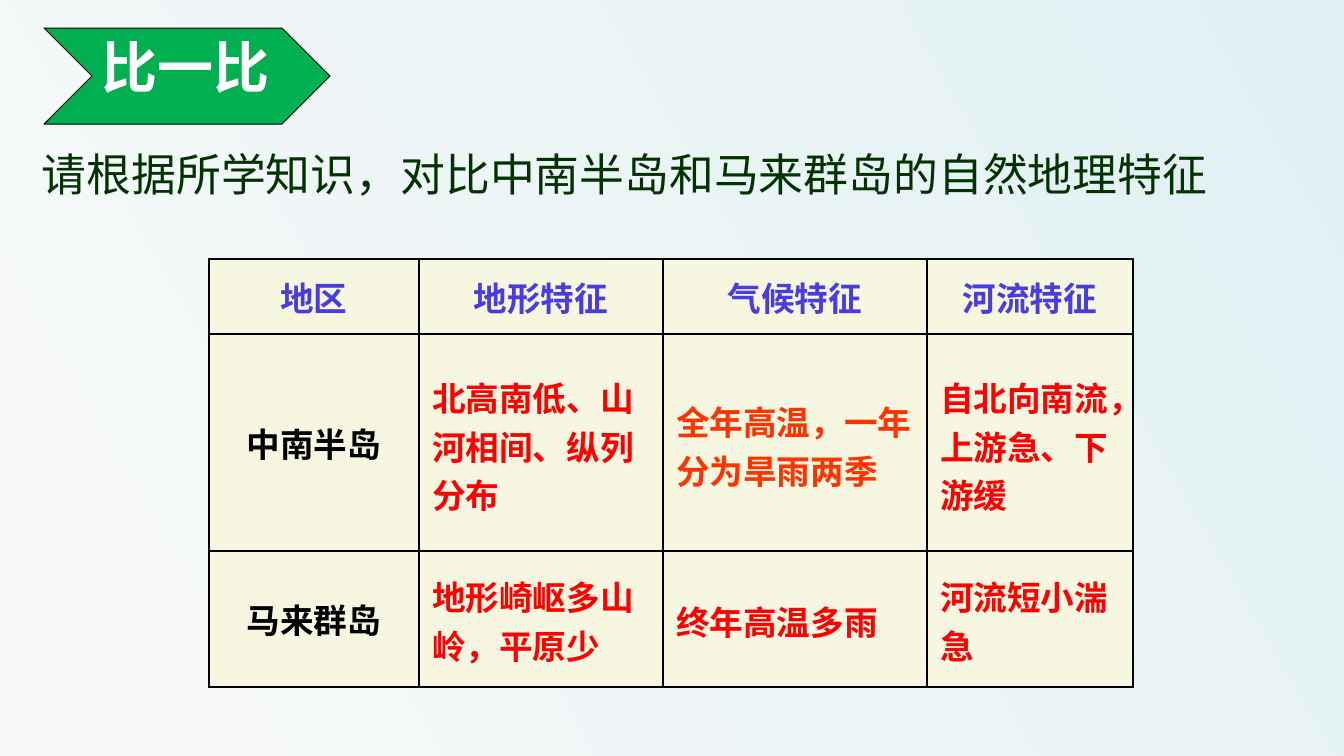
from lxml.etree import SubElement
from pptx import Presentation
from pptx.dml.color import RGBColor
from pptx.enum.shapes import MSO_SHAPE
from pptx.enum.text import MSO_ANCHOR, PP_ALIGN
from pptx.oxml.ns import qn
from pptx.util import Emu, Pt

BLACK = RGBColor(0, 0, 0)
WHITE = RGBColor(255, 255, 255)
GREEN = RGBColor(0x00, 0xB0, 0x50)
DARK_GREEN = RGBColor(0x00, 0x33, 0x00)
VIOLET = RGBColor(0x48, 0x3C, 0xE2)
RED = RGBColor(0xFF, 0x00, 0x00)
ORANGE = RGBColor(0xFF, 0x33, 0x00)
CREAM = RGBColor(0xF7, 0xF6, 0xE1)
BACKGROUND = [RGBColor(0xF8, 0xFA, 0xF9), RGBColor(0xE1, 0xF0, 0xF3)]

BADGE = "比一比"
QUESTION = "请根据所学知识，对比中南半岛和马来群岛的自然地理特征"
HEADERS = ["地区", "地形特征", "气候特征", "河流特征"]
REGIONS = ["中南半岛", "马来群岛"]
ANSWERS = [
    ["北高南低、山河相间、纵列分布", "全年高温，一年分为旱雨两季", "自北向南流，上游急、下游缓"],
    ["地形崎岖多山岭，平原少", "终年高温多雨", "河流短小湍急"],
]

EMU_PER_PX = 914400 / 100.8
COLUMNS = [210, 244, 264, 206]
TABLE_TOP = 259
GRID_LEFT, GRID_ROWS = 209, [75, 217, 136]
ANSWER_LEFT, ANSWER_ROWS = 212, [79, 215, 135]
OUTER, INNER = 2.25, 1
NO_STYLE = "{2D5ABB26-0587-4C30-8999-92F81FD0307C}"


def px(length):
    return Emu(round(length * EMU_PER_PX))


def write(frame, text, size=24, color=BLACK, bold=True, font="Arial", align=PP_ALIGN.LEFT):
    paragraph = frame.paragraphs[0]
    paragraph.alignment = align
    run = paragraph.add_run()
    run.text = text
    run.font.name = font
    run.font.size = Pt(size)
    run.font.bold = bold
    run.font.color.rgb = color


def add_plain_table(slide, left, rows):
    """Add a table without style, so that only explicit fills and borders show."""
    frame = slide.shapes.add_table(len(rows), len(COLUMNS), px(left), px(TABLE_TOP),
                                   px(sum(COLUMNS)), px(sum(rows)))
    table = frame.table
    table.first_row = table.horz_banding = False
    frame._element.find(".//" + qn("a:tableStyleId")).text = NO_STYLE
    for column, width in zip(table.columns, COLUMNS):
        column.width = px(width)
    for row, height in zip(table.rows, rows):
        row.height = px(height)
    for cell in table.iter_cells():
        cell.vertical_anchor = MSO_ANCHOR.MIDDLE
    return table


def set_borders(cell, widths):
    properties = cell._tc.get_or_add_tcPr()
    for side, width in widths.items():
        line = SubElement(properties, qn(f"a:ln{side}"), w=str(Pt(width)))
        SubElement(SubElement(line, qn("a:solidFill")), qn("a:srgbClr"), val=str(BLACK))


def add_grid(slide):
    table = add_plain_table(slide, GRID_LEFT, GRID_ROWS)
    last_row, last_column = len(GRID_ROWS) - 1, len(COLUMNS) - 1
    for row in range(last_row + 1):
        for column in range(last_column + 1):
            cell = table.cell(row, column)
            on_edge = {"L": column == 0, "R": column == last_column,
                       "T": row == 0, "B": row == last_row}
            set_borders(cell, {side: OUTER if edge else INNER for side, edge in on_edge.items()})
            cell.fill.solid()
            cell.fill.fore_color.rgb = CREAM
    for column, header in enumerate(HEADERS):
        write(table.cell(0, column).text_frame, header, color=VIOLET, align=PP_ALIGN.CENTER)
    for row, region in enumerate(REGIONS, 1):
        write(table.cell(row, 0).text_frame, region, align=PP_ALIGN.CENTER)


def add_answers(slide):
    table = add_plain_table(slide, ANSWER_LEFT, ANSWER_ROWS)
    for row, answers in enumerate(ANSWERS, 1):
        for column, answer in enumerate(answers, 1):
            color = ORANGE if (row, column) == (1, 2) else RED
            write(table.cell(row, column).text_frame, answer, color=color)


def add_question(slide):
    box = slide.shapes.add_textbox(px(32), px(142), px(1235), px(65))
    box.text_frame.word_wrap = True
    write(box.text_frame, QUESTION, size=32, color=DARK_GREEN, bold=False)


def add_badge(slide):
    badge = slide.shapes.add_shape(MSO_SHAPE.CHEVRON, px(44), px(28), px(286), px(96))
    badge.shadow.inherit = False
    badge.fill.solid()
    badge.fill.fore_color.rgb = GREEN
    badge.line.color.rgb = BLACK
    badge.line.width = Pt(0.75)
    badge.text_frame.word_wrap = True
    badge.text_frame.vertical_anchor = MSO_ANCHOR.TOP
    write(badge.text_frame, BADGE, size=40, color=WHITE, font="Roboto")


def main():
    presentation = Presentation()
    presentation.slide_width, presentation.slide_height = px(1344), px(756)
    slide = presentation.slides.add_slide(presentation.slide_layouts[6])
    fill = slide.background.fill
    fill.gradient()
    fill.gradient_angle = 30
    for stop, color in zip(fill.gradient_stops, BACKGROUND):
        stop.color.rgb = color
    add_question(slide)
    add_grid(slide)
    add_answers(slide)
    add_badge(slide)
    presentation.save("out.pptx")


if __name__ == "__main__":
    main()
